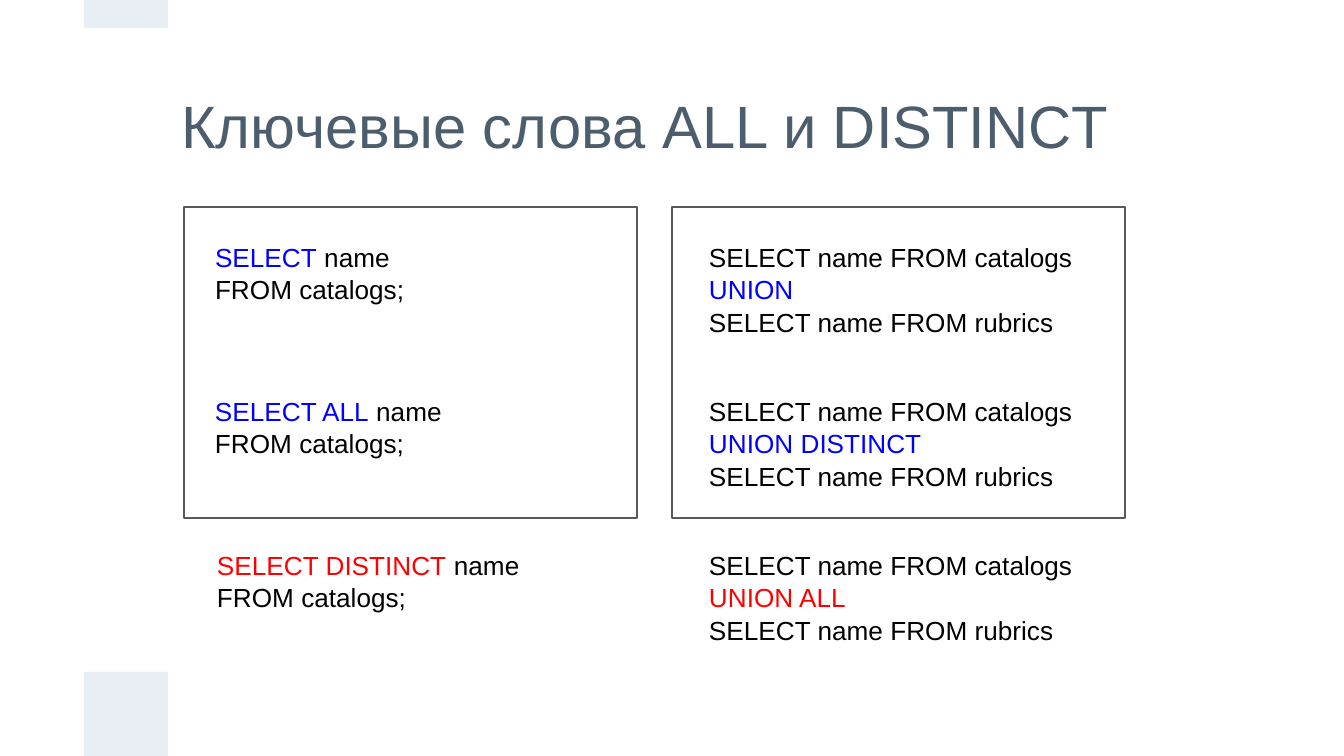
import pptx
import pptx.util
import pptx.dml.color
import pptx.enum.shapes
import pptx.enum.text

SCALE = 914400 / 134.4
HUES = {"title": "4C5D6E", "band": "E9EDF4", "edge": "595959",
        "text": "000000", "same": "0000FF", "diff": "FF0000"}


def px(*sizes):
    """Turn pixels into EMU."""
    return [pptx.util.Emu(round(size * SCALE)) for size in sizes]


def hue(name):
    """Look up a colour."""
    return pptx.dml.color.RGBColor.from_string(HUES[name])


def add_run(para, words, size, tone):
    """Add one styled run."""
    run = para.add_run()
    run.text = words
    run.font.name = "Arial"
    run.font.size = pptx.util.Pt(size)
    run.font.color.rgb = hue(tone)


def set_frame(frame, anchor):
    """Set wrap, anchor and equal insets."""
    frame.word_wrap = True
    frame.auto_size = pptx.enum.text.MSO_AUTO_SIZE.NONE
    frame.vertical_anchor = anchor
    inset = px(13)[0]
    frame.margin_left = frame.margin_right = inset
    frame.margin_top = frame.margin_bottom = inset


def add_title(slide, words):
    """Fill and place the title."""
    title = slide.shapes.title
    title.left, title.top, title.width, title.height = px(168, 67, 1008, 116)
    set_frame(title.text_frame, pptx.enum.text.MSO_ANCHOR.MIDDLE)
    para = title.text_frame.paragraphs[0]
    para.alignment = pptx.enum.text.PP_ALIGN.LEFT
    add_run(para, words, 32, "title")


def add_rect(slide, box, fill=None, line=None):
    """Draw a filled or outlined rectangle."""
    kind = pptx.enum.shapes.MSO_SHAPE.RECTANGLE
    rect = slide.shapes.add_shape(kind, *px(*box))
    rect.shadow.inherit = False
    if fill:
        rect.fill.solid()
        rect.fill.fore_color.rgb = hue(fill)
    else:
        rect.fill.background()
    if line:
        rect.line.color.rgb = hue(line)
        rect.line.width = pptx.util.Pt(0.75)
    else:
        rect.line.fill.background()


def add_query(slide, box, lines):
    """Write a query, one paragraph a line."""
    frame = slide.shapes.add_textbox(*px(*box)).text_frame
    set_frame(frame, pptx.enum.text.MSO_ANCHOR.TOP)
    for nth, runs in enumerate(lines):
        para = frame.add_paragraph() if nth else frame.paragraphs[0]
        para.line_spacing = 1.04
        for words, tone in runs:
            add_run(para, words, 14, tone)


def main():
    """Build the slide."""
    deck = pptx.Presentation()
    deck.slide_width, deck.slide_height = px(1344, 756)
    slide = deck.slides.add_slide(deck.slide_layouts[5])
    add_title(slide, "Ключевые слова ALL и DISTINCT")
    for top, high in ((672, 84), (0, 28)):
        add_rect(slide, (84, top, 84, high), fill="band")

    rows = (("SELECT", "UNION", "same", 202, 233),
            ("SELECT ALL", "UNION DISTINCT", "same", 202, 258),
            ("SELECT DISTINCT", "UNION ALL", "diff", 204, 333))
    for nth, (pick, join, tone, left, wide) in enumerate(rows):
        top = 227 + 154 * nth
        add_query(slide, (left, top, wide, 90),
                  [[(pick, tone), (" name", "text")],
                   [("FROM catalogs;", "text")]])
        add_query(slide, (696, top, 438, 126),
                  [[("SELECT name FROM catalogs", "text")],
                   [(join, tone)],
                   [("SELECT name FROM rubrics", "text")]])

    for left in (672, 184):
        add_rect(slide, (left, 207, 453, 311), line="edge")
    deck.save("out.pptx")


main()
